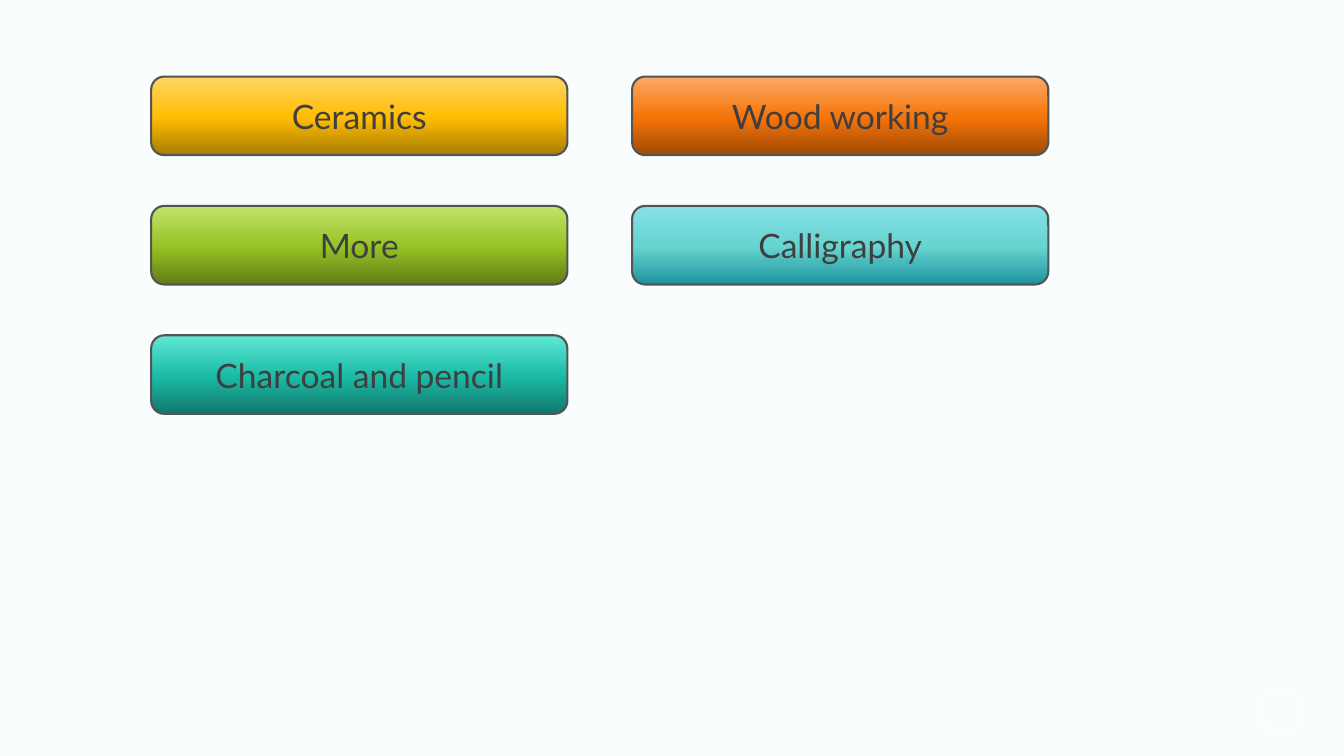
import copy

import pptx
import pptx.dml.color
import pptx.enum.shapes
import pptx.enum.text
import pptx.oxml.ns
import pptx.util
from pptx.util import Cm

SHAPE = pptx.enum.shapes.MSO_SHAPE

# Button grid
LEFT, TOP = 3.81, 1.93
WIDTH, HEIGHT = 10.49, 1.98
COLUMN_STEP, ROW_STEP = 12.12, 3.26

# Column, row, label, gradient from bottom to top
CRAFTS = [
    (1, 0, "Wood working", ("9F4B05", "F67408", "FAA966")),
    (0, 1, "More", ("607D17", "96C224", "C2E46D")),
    (0, 0, "Ceramics", ("A87C00", "FFBD03", "FFD663")),
    (1, 1, "Calligraphy", ("1E929E", "66D4CF", "87E0E9")),
    (0, 2, "Charcoal and pencil", ("11786B", "1BBBA6", "5FE8D6")),
]


def rgb(value):
    return pptx.dml.color.RGBColor.from_string(value)


def add_outlined(s, kind, x, y, w, h, color, width):
    sp = s.shapes.add_shape(kind, Cm(x), Cm(y), Cm(w), Cm(h))
    sp.shadow.inherit = False
    sp.line.color.rgb = rgb(color)
    sp.line.width = pptx.util.Pt(width)
    return sp


def fill_gradient(sp, colors):
    sp.fill.gradient()
    sp.fill.gradient_angle = 90
    # The default gradient has two stops; add a middle one
    stops = sp._element.spPr.find(".//" + pptx.oxml.ns.qn("a:gsLst"))
    stops.insert(1, copy.deepcopy(stops[0]))
    for stop, position, color in zip(sp.fill.gradient_stops, (0, 0.48, 1), colors):
        stop.position = position
        stop.color.rgb = rgb(color)


def add_button(s, column, row, label, colors):
    sp = add_outlined(s, SHAPE.ROUNDED_RECTANGLE, LEFT + column * COLUMN_STEP,
                      TOP + row * ROW_STEP, WIDTH, HEIGHT, "545454", 1.5)
    fill_gradient(sp, colors)
    tf = sp.text_frame
    tf.vertical_anchor = pptx.enum.text.MSO_ANCHOR.MIDDLE
    p = tf.paragraphs[0]
    p.text = label
    p.alignment = pptx.enum.text.PP_ALIGN.CENTER
    p.font.name = "Lato"
    p.font.size = pptx.util.Pt(24)
    p.font.color.rgb = rgb("3F3F3F")


def main():
    prs = pptx.Presentation()
    prs.slide_width, prs.slide_height = Cm(33.87), Cm(19.05)
    s = prs.slides.add_slide(prs.slide_layouts[6])
    s.background.fill.solid()
    s.background.fill.fore_color.rgb = rgb("FAFDFE")

    # Corner ring
    ring = add_outlined(s, SHAPE.OVAL, 31.75, 17.37, 1.12, 1.12, "FFFFFF", 1)
    ring.fill.background()

    # Craft buttons
    for craft in CRAFTS:
        add_button(s, *craft)

    prs.save("out.pptx")


if __name__ == "__main__":
    main()
